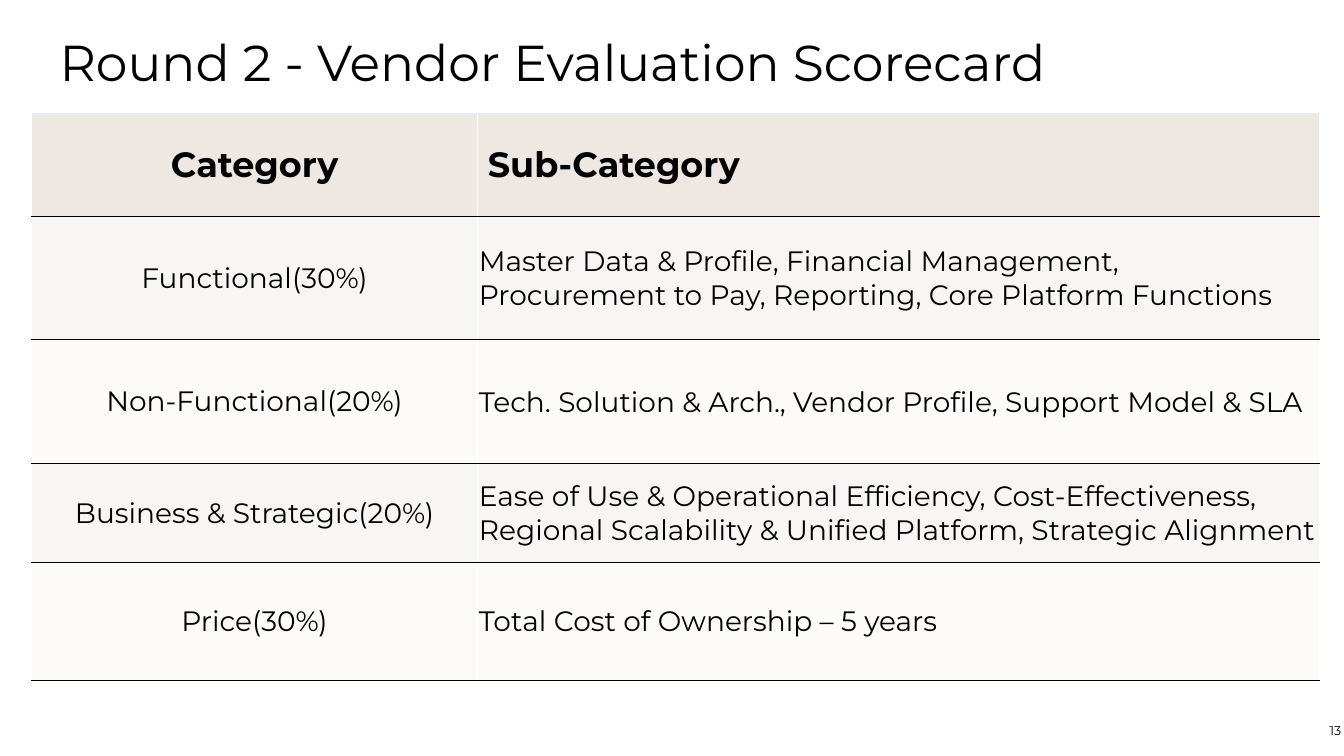
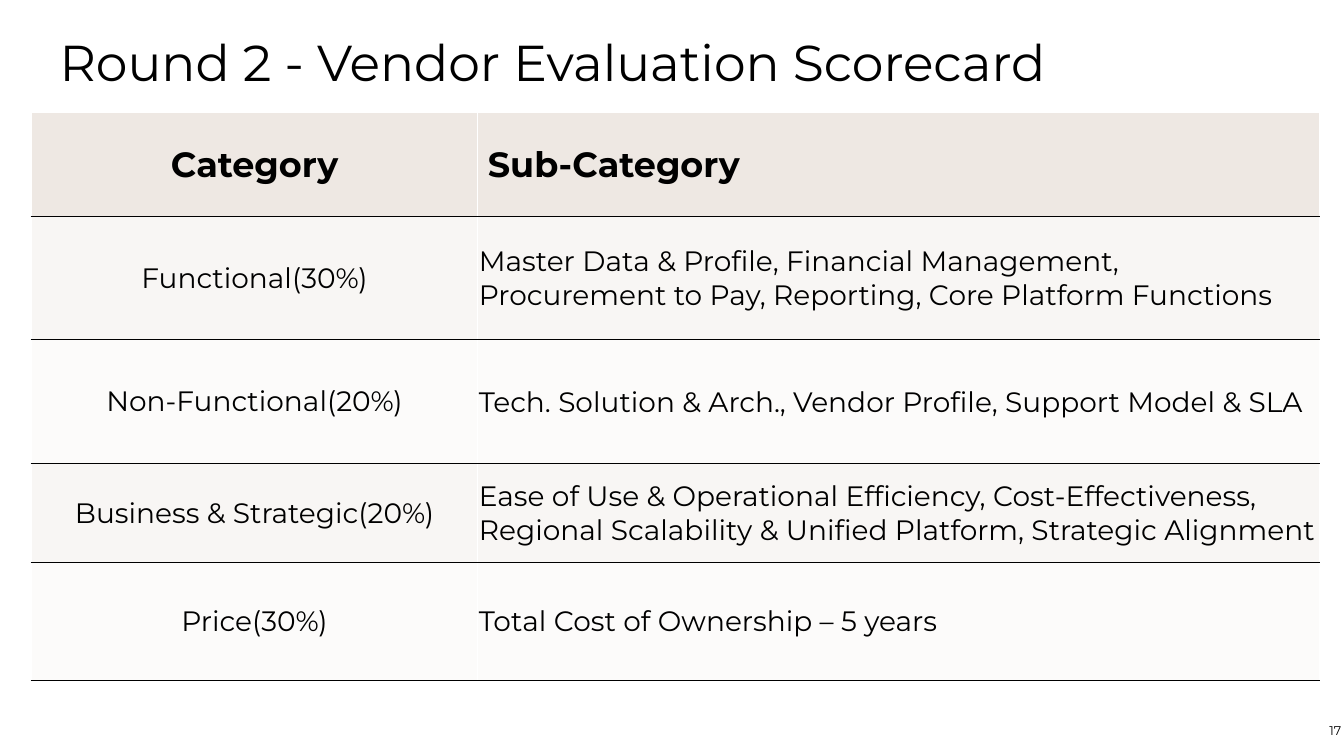
"""Build two vendor evaluation scorecard slides."""
from dataclasses import dataclass

from lxml import etree
from pptx import Presentation
from pptx.dml.color import RGBColor
from pptx.enum.text import MSO_ANCHOR, MSO_AUTO_SIZE, PP_ALIGN
from pptx.oxml.ns import qn
from pptx.util import Pt

PX = 9144
TOP, MIDDLE = MSO_ANCHOR.TOP, MSO_ANCHOR.MIDDLE
LEFT, CENTER = PP_ALIGN.LEFT, PP_ALIGN.CENTER
NO_AUTOFIT = MSO_AUTO_SIZE.NONE
TITLE_ONLY = 5


@dataclass(frozen=True)
class Theme:
    font: str = "Montserrat"
    ink: str = "000000"
    white: str = "FFFFFF"
    header_fill: str = "EEE8E3"
    band_fills: tuple[str, str] = ("F8F6F4", "FCFBFA")
    title_size: int = 36
    header_size: int = 25
    body_size: int = 20
    number_size: int = 9
    border: int = 1


@dataclass(frozen=True)
class Box:
    left: int
    top: int
    width: int
    height: int

    def emu(self) -> tuple[int, int, int, int]:
        return self.left * PX, self.top * PX, self.width * PX, self.height * PX


@dataclass(frozen=True)
class Row:
    category: str
    detail: str
    height: int


THEME = Theme()
SLIDE_SIZE = (1333, 750)
TITLE_BOX = Box(49, 33, 1129, 61)
NUMBER_BOX = Box(1316, 722, 17, 5)
TABLE_BOX = Box(31, 112, 1278, 563)
COLUMNS = (443, 835)
TITLE = "Round 2 - Vendor Evaluation Scorecard"
PAGE_NUMBERS = (13, 17)
ROWS = (
    Row("Category", "Sub-Category", 103),
    Row("Functional(30%)",
        "Master Data & Profile, Financial Management,\n"
        "Procurement to Pay, Reporting, Core Platform Functions", 122),
    Row("Non-Functional(20%)",
        "Tech. Solution & Arch., Vendor Profile, Support Model & SLA", 123),
    Row("Business & Strategic(20%)",
        "Ease of Use & Operational Efficiency, Cost-Effectiveness, "
        "Regional Scalability & Unified Platform, Strategic Alignment", 98),
    Row("Price(30%)", "Total Cost of Ownership – 5 years", 117),
)


def write(tf, text: str, size: int, align=LEFT, bold: bool = False) -> None:
    tf.text = text
    for p in tf.paragraphs:
        p.alignment = align
        for r in p.runs:
            r.font.name = THEME.font
            r.font.size = Pt(size)
            r.font.bold = bold
            r.font.color.rgb = RGBColor.from_string(THEME.ink)


def set_borders(cell, top: str) -> None:
    tc_pr = cell._tc.get_or_add_tcPr()
    sides = {"lnL": THEME.white, "lnR": THEME.white, "lnT": top, "lnB": THEME.ink}
    for side, color in sides.items():
        ln = etree.SubElement(tc_pr, qn(f"a:{side}"), w=str(Pt(THEME.border)))
        fill = etree.SubElement(ln, qn("a:solidFill"))
        etree.SubElement(fill, qn("a:srgbClr"), val=color)


def add_title(s) -> None:
    sp = s.shapes.title
    sp.left, sp.top, sp.width, sp.height = TITLE_BOX.emu()
    tf = sp.text_frame
    write(tf, TITLE, THEME.title_size)
    tf.auto_size = NO_AUTOFIT
    tf.vertical_anchor = TOP
    tf.paragraphs[0].line_spacing = 0.9


def add_page_number(s, number: int) -> None:
    tf = s.shapes.add_textbox(*NUMBER_BOX.emu()).text_frame
    tf.margin_left = tf.margin_right = 0
    tf.margin_top = tf.margin_bottom = 5 * PX
    tf.vertical_anchor = MIDDLE
    tf.word_wrap = True
    write(tf, str(number), THEME.number_size, CENTER)


def fill_cell(cell, text: str, row: int, col: int) -> None:
    header = row == 0
    set_borders(cell, THEME.white if header else THEME.ink)
    color = THEME.header_fill if header else THEME.band_fills[(row - 1) % 2]
    cell.fill.solid()
    cell.fill.fore_color.rgb = RGBColor.from_string(color)
    cell.vertical_anchor = MIDDLE
    if col == 1 and not header:
        cell.margin_left = cell.margin_top = cell.margin_right = PX
        cell.margin_bottom = 0
    size = THEME.header_size if header else THEME.body_size
    write(cell.text_frame, text, size, LEFT if col else CENTER, header)


def add_scorecard(s) -> None:
    table = s.shapes.add_table(len(ROWS), len(COLUMNS), *TABLE_BOX.emu()).table
    table.horz_banding = False
    for col, width in enumerate(COLUMNS):
        table.columns[col].width = width * PX
    for i, row in enumerate(ROWS):
        table.rows[i].height = row.height * PX
        for col, text in enumerate((row.category, row.detail)):
            fill_cell(table.cell(i, col), text, i, col)


def main() -> None:
    prs = Presentation()
    prs.slide_width, prs.slide_height = (side * PX for side in SLIDE_SIZE)
    for number in PAGE_NUMBERS:
        s = prs.slides.add_slide(prs.slide_layouts[TITLE_ONLY])
        add_title(s)
        add_page_number(s, number)
        add_scorecard(s)
    prs.save("out.pptx")


if __name__ == "__main__":
    main()
